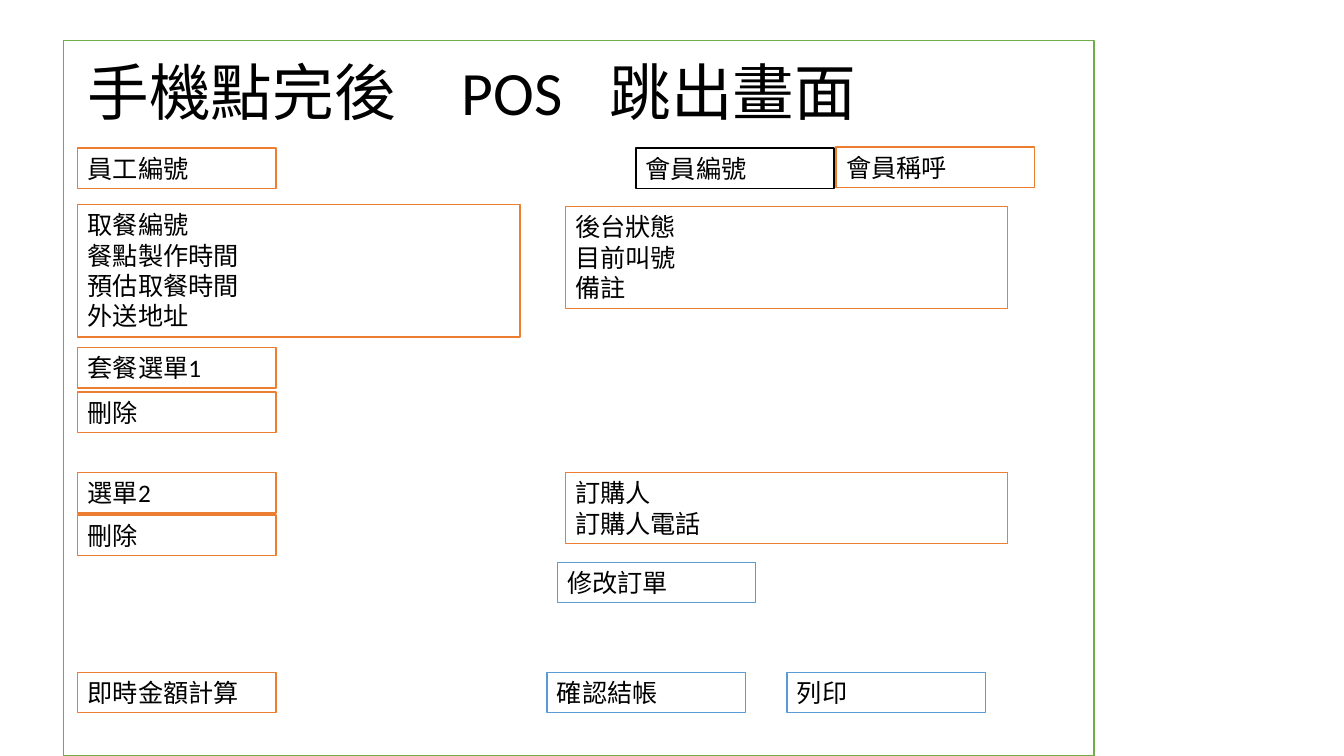
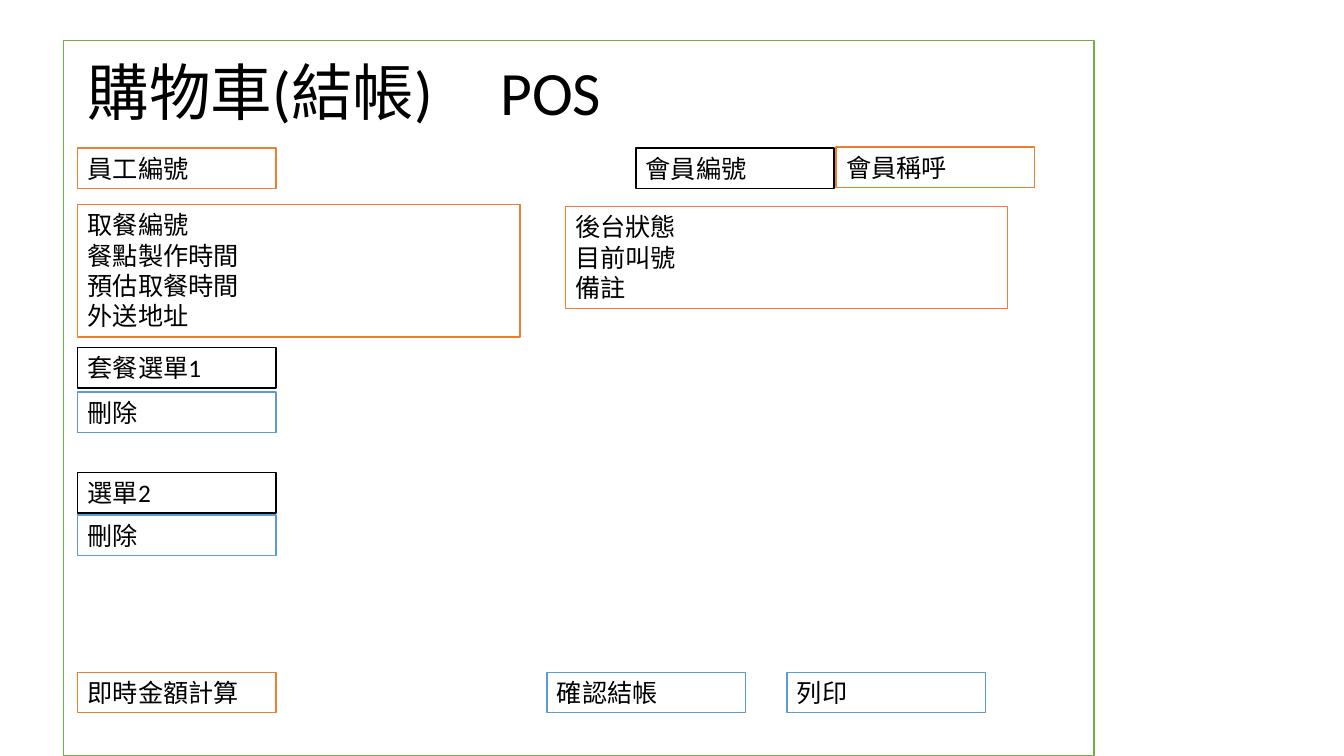
from dataclasses import dataclass

from pptx import Presentation
from pptx.dml.color import RGBColor
from pptx.enum.shapes import MSO_SHAPE
from pptx.enum.text import MSO_AUTO_SIZE as AutoSize, MSO_ANCHOR as Anchor, PP_ALIGN as Align
from pptx.oxml.ns import qn
from pptx.slide import Slide
from pptx.text.text import TextFrame
from pptx.util import Cm, Pt
from lxml.etree import SubElement

BLACK = RGBColor(0x00, 0x00, 0x00)
WHITE = RGBColor(0xFF, 0xFF, 0xFF)
ORANGE = RGBColor(0xED, 0x7D, 0x31)
BLUE = RGBColor(0x5B, 0x9B, 0xD5)
GREEN = RGBColor(0x70, 0xAD, 0x47)

TITLE_FORMAT = {"name": "Calibri", "size": Pt(44)}
BOX_FORMAT = {"name": "Calibri", "size": Pt(18)}
TITLE_AREA = {"left": Cm(1.96), "top": Cm(0.56), "width": Cm(29.21), "height": Cm(3.68)}
FRAME = (1.6, 1.02, 25.98, 18.03)

# Column edges, box widths and box height rule, in cm
LEFT, RIGHT = 1.96, 14.25
NARROW, WIDE = 5.0, 11.15
LINE_HEIGHT, PADDING = 0.77, 0.25
MENU_ROWS = ((8.76, 9.88, "套餐選單1"), (11.91, 12.98, "選單2"))
ACTION_TOP = 16.94


@dataclass(frozen=True)
class Box:
    text: str  # \n starts a paragraph, \v breaks a line
    left: float
    top: float
    color: RGBColor = ORANGE
    width: float = NARROW

    @property
    def height(self) -> float:
        return PADDING + LINE_HEIGHT * len(self.text.splitlines())


@dataclass(frozen=True)
class Screen:
    title: str
    tab_stops: tuple[float, ...]
    menu_color: RGBColor
    delete_color: RGBColor
    extras: tuple[Box, ...] = ()


COMMON = (
    Box("確認結帳", 13.79, ACTION_TOP, BLUE),
    Box("列印", 19.84, ACTION_TOP, BLUE),
    Box("即時金額計算", LEFT, ACTION_TOP),
    Box("取餐編號\n餐點製作時間\v預估取餐時間\n外送地址", LEFT, 5.16, width=WIDE),
    Box("員工編號", LEFT, 3.73),
    Box("會員編號", 16.03, 3.73, BLACK),
    Box("會員稱呼", 21.08, 3.71),
    Box("後台狀態\n目前叫號\v備註", RIGHT, 5.21, width=WIDE),
)

SCREENS = (
    Screen("手機點完後\tPOS\t跳出畫面", (9.42, 13.15), ORANGE, ORANGE, (
        Box("訂購人\n訂購人電話", RIGHT, 11.91, width=WIDE),
        Box("修改訂單", 14.05, 14.17, BLUE),
    )),
    Screen("購物車(結帳)\tPOS", (10.4,), BLACK, BLUE),
)


def format_text(tf: TextFrame, font_format: dict) -> None:
    for p in tf.paragraphs:
        for r in p.runs:
            for key, value in font_format.items():
                setattr(r.font, key, value)
            r.font.color.rgb = BLACK


def set_title(s: Slide, text: str, tab_stops: tuple[float, ...]) -> None:
    sp = s.shapes.title
    for key, value in TITLE_AREA.items():
        setattr(sp, key, value)
    tf = sp.text_frame
    tf.text = text
    tf.auto_size = AutoSize.NONE
    tf.vertical_anchor = Anchor.MIDDLE
    p = tf.paragraphs[0]
    p.alignment = Align.LEFT
    p.line_spacing = 0.9
    tabs = SubElement(p._p.get_or_add_pPr(), qn("a:tabLst"))
    for stop in tab_stops:
        SubElement(tabs, qn("a:tab"), pos=str(int(Cm(stop))), algn="l")
    format_text(tf, TITLE_FORMAT)


def add_box(s: Slide, box: Box) -> None:
    area = (box.left, box.top, box.width, box.height)
    sp = s.shapes.add_textbox(*map(Cm, area))
    sp.fill.solid()
    sp.fill.fore_color.rgb = WHITE
    sp.line.color.rgb = box.color
    sp.line.width = Pt(1)
    tf = sp.text_frame
    tf.word_wrap = True
    tf.auto_size = AutoSize.SHAPE_TO_FIT_TEXT
    tf.text = box.text
    format_text(tf, BOX_FORMAT)


def add_frame(s: Slide) -> None:
    sp = s.shapes.add_shape(MSO_SHAPE.RECTANGLE, *map(Cm, FRAME))
    sp.shadow.inherit = False
    sp.fill.background()
    sp.line.color.rgb = GREEN
    sp.line.width = Pt(1)


def add_screen(prs: Presentation, screen: Screen) -> None:
    s = prs.slides.add_slide(prs.slide_layouts.get_by_name("Title Only"))
    set_title(s, screen.title, screen.tab_stops)
    add_frame(s)
    # Menu items, each with its delete button
    for item_top, delete_top, name in MENU_ROWS:
        add_box(s, Box(name, LEFT, item_top, screen.menu_color))
        add_box(s, Box("刪除", LEFT, delete_top, screen.delete_color))
    # Order details and actions
    for box in COMMON + screen.extras:
        add_box(s, box)


def main() -> None:
    prs = Presentation()
    prs.slide_width, prs.slide_height = Cm(33.88), Cm(19.05)
    for screen in SCREENS:
        add_screen(prs, screen)
    prs.save("out.pptx")


if __name__ == "__main__":
    main()
